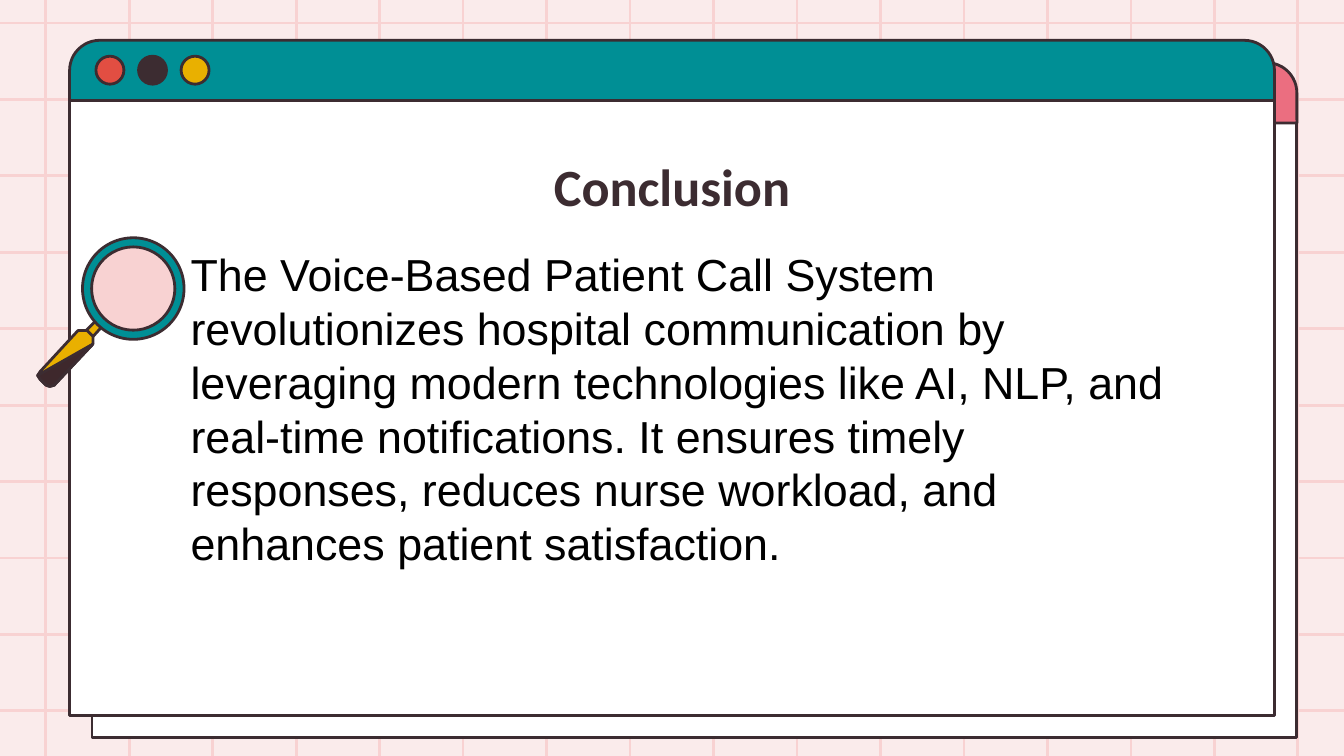
from dataclasses import dataclass

from lxml.etree import SubElement
from pptx import Presentation
from pptx.dml.color import RGBColor
from pptx.enum.shapes import MSO_CONNECTOR, MSO_SHAPE
from pptx.enum.text import MSO_ANCHOR, PP_ALIGN
from pptx.oxml.ns import qn
from pptx.util import Pt


@dataclass(frozen=True)
class Theme:
    background: str = "FAEBEB"
    grid: str = "F8D2D2"
    ink: str = "3C2C31"
    grip: str = "3E282C"
    white: str = "FFFFFF"
    black: str = "000000"
    teal: str = "008F95"
    pink: str = "EB6E80"
    red: str = "E24E42"
    yellow: str = "E9B000"
    line_width: float = 1.5
    title_font: str = "Calibri"
    title_size: float = 28
    body_font: str = "Arial"
    body_size: float = 24
    body_leading: float = 28.8


@dataclass(frozen=True)
class Box:
    left: float
    top: float
    width: float
    height: float

    def lengths(self):
        return Pt(self.left), Pt(self.top), Pt(self.width), Pt(self.height)

    def inner(self, left, top, width, height):
        return Box(self.left + left, self.top + top, width, height)


THEME = Theme()


def paint(shape, fill):
    shape.shadow.inherit = False
    shape.fill.solid()
    shape.fill.fore_color.rgb = RGBColor.from_string(fill)
    shape.line.color.rgb = RGBColor.from_string(THEME.ink)
    shape.line.width = Pt(THEME.line_width)
    return shape


def add_preset(slide, preset, box, fill):
    return paint(slide.shapes.add_shape(preset, *box.lengths()), fill)


def add_outline(slide, box, points, fill):
    corners = [(Pt(box.left + x), Pt(box.top + y)) for x, y in points]
    builder = slide.shapes.build_freeform(*corners[0])
    builder.add_line_segments(corners[1:], close=True)
    return paint(builder.convert_to_shape(), fill)


def add_grid_line(slide, x1, y1, x2, y2):
    line = slide.shapes.add_connector(
        MSO_CONNECTOR.STRAIGHT, Pt(x1), Pt(y1), Pt(x2), Pt(y2)
    )
    line.line.color.rgb = RGBColor.from_string(THEME.grid)
    line.line.width = Pt(THEME.line_width)
    SubElement(line._element.spPr, qn("a:effectLst"))


def add_grid(slide, box):
    right, bottom = box.left + box.width, box.top + box.height
    for column in range(16):
        x = box.left + 24.5 + column * 44.72
        add_grid_line(slide, x, box.top, x, bottom)
    for row in range(10):
        y = box.top + 12.3 + row * 40.95
        add_grid_line(slide, box.left, y, right, y)


def add_window(slide, box, bar_color):
    bar_height = 32.3
    body = box.inner(0, bar_height, box.width, box.height - bar_height)
    add_preset(slide, MSO_SHAPE.RECTANGLE, body, THEME.white)
    bar = add_preset(
        slide,
        MSO_SHAPE.ROUND_2_SAME_RECTANGLE,
        box.inner(0, 0, box.width, bar_height),
        bar_color,
    )
    bar.adjustments[0] = 0.5
    for index, color in enumerate((THEME.red, THEME.ink, THEME.yellow)):
        button = box.inner(14.1 + index * 22.8, 8.5, 15, 15)
        add_preset(slide, MSO_SHAPE.OVAL, button, color)


def add_magnifier(slide, box):
    neck = [(27.5, 55.3), (23.8, 51.8), (31.8, 43.8), (35.2, 46.8)]
    grip_end = [(0, 73.7), (1.4, 75.9), (4.6, 79), (6.5, 79.6), (8.8, 79)]
    shaft = [(29.6, 56.9), (29.6, 52.8), (26.6, 49.7), (21.6, 49.7), (1.4, 71.6)]
    add_outline(slide, box, neck, THEME.yellow)
    add_outline(slide, box, grip_end + shaft, THEME.yellow)
    add_outline(slide, box, grip_end + shaft[:1], THEME.grip)
    add_preset(slide, MSO_SHAPE.OVAL, box.inner(27.2, 3, 48, 48), THEME.grid)
    ring = add_preset(slide, MSO_SHAPE.DONUT, box.inner(24, 0, 54.4, 54.4), THEME.teal)
    ring.adjustments[0] = 0.09


def add_text(slide, box, text, font_name, size, color, inset):
    text_box = slide.shapes.add_textbox(*box.lengths())
    frame = text_box.text_frame
    frame.word_wrap = True
    frame.vertical_anchor = MSO_ANCHOR.TOP
    frame.margin_left = frame.margin_right = Pt(7.2)
    frame.margin_top = frame.margin_bottom = Pt(inset)
    paragraph = frame.paragraphs[0]
    run = paragraph.add_run()
    run.text = text
    run.font.name = font_name
    run.font.size = Pt(size)
    run.font.color.rgb = RGBColor.from_string(color)
    return paragraph, run


def add_title(slide, box, text):
    paragraph, run = add_text(
        slide, box, text, THEME.title_font, THEME.title_size, THEME.ink, 8.5
    )
    paragraph.alignment = PP_ALIGN.CENTER
    run.font.bold = True


def add_body(slide, box, text):
    paragraph, _ = add_text(
        slide, box, text, THEME.body_font, THEME.body_size, THEME.black, 5
    )
    paragraph.alignment = PP_ALIGN.LEFT
    paragraph.line_spacing = Pt(THEME.body_leading)


def main():
    presentation = Presentation()
    page = Box(0, 0, 720, 405)
    presentation.slide_width = Pt(page.width)
    presentation.slide_height = Pt(page.height)
    slide = presentation.slides.add_slide(presentation.slide_layouts[6])
    slide.background.fill.solid()
    slide.background.fill.fore_color.rgb = RGBColor.from_string(THEME.background)

    add_grid(slide, page)
    front = Box(37.3, 21.6, 645.5, 361.7)
    add_window(slide, front.inner(12, 12, front.width, front.height), THEME.pink)
    add_window(slide, front, THEME.teal)
    add_title(slide, Box(70.5, 74.2, 579, 45.4), "Conclusion")
    add_magnifier(slide, Box(20.2, 127.4, 78.4, 80))
    add_body(
        slide,
        Box(95, 127.4, 547, 181.4),
        "The Voice-Based Patient Call System revolutionizes hospital communication "
        "by leveraging modern technologies like AI, NLP, and real-time notifications. "
        "It ensures timely responses, reduces nurse workload, and enhances patient "
        "satisfaction.",
    )
    presentation.save("out.pptx")


if __name__ == "__main__":
    main()
